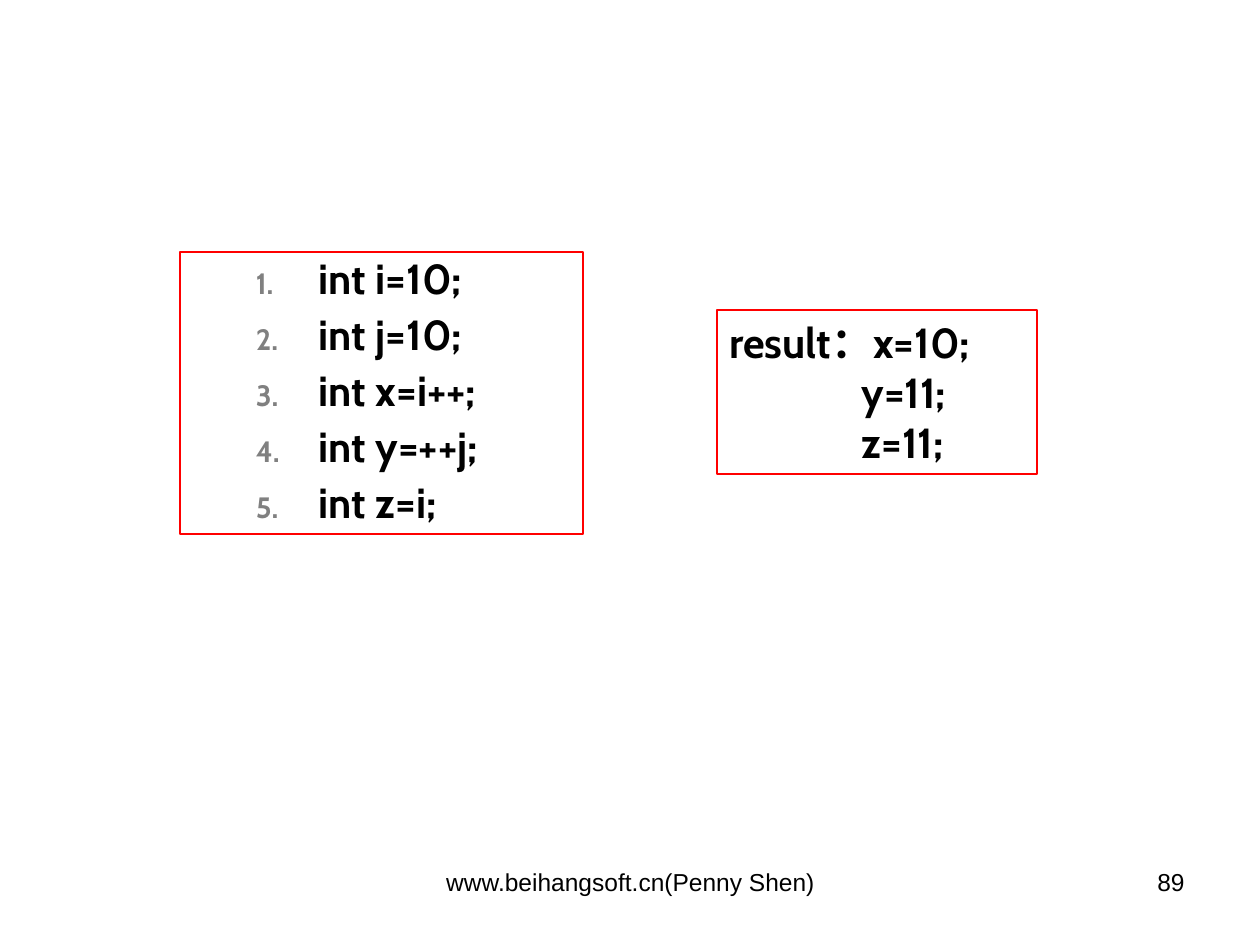
import pptx
import pptx.util
import pptx.dml.color
import pptx.enum.text
import pptx.oxml.ns
import lxml.etree

Inches = pptx.util.Inches
Pt = pptx.util.Pt
PP_ALIGN = pptx.enum.text.PP_ALIGN
COLORS = {"text": "000000", "fill": "FFFFFF", "border": "FF0000", "number": "808080"}


def add_span(para, text, font, size, bold):
    span = para.add_run()
    span.text = text
    span.font.name = font
    span.font.size = Pt(size)
    span.font.bold = bold
    span.font.color.rgb = pptx.dml.color.RGBColor.from_string(COLORS["text"])


def add_child(parent, tag, **attributes):
    return lxml.etree.SubElement(parent, pptx.oxml.ns.qn(tag), **attributes)


deck = pptx.Presentation()
deck.slide_width = Inches(10)
deck.slide_height = Inches(7.5)
page = deck.slides.add_slide(deck.slide_layouts[1])
title = page.shapes.title
title.element.getparent().remove(title.element)

code_box = page.placeholders[1]
code_box.left, code_box.top = Inches(1.43), Inches(2)
code_box.width, code_box.height = Inches(3.2), Inches(2.24)
result_box = page.shapes.add_textbox(Inches(5.69), Inches(2.46), Inches(2.54), Inches(1.3))

for box in (code_box, result_box):
    box.fill.solid()
    box.fill.fore_color.rgb = pptx.dml.color.RGBColor.from_string(COLORS["fill"])
    box.line.color.rgb = pptx.dml.color.RGBColor.from_string(COLORS["border"])
    box.line.width = Pt(1)
    box.text_frame.word_wrap = True
    box.text_frame.auto_size = pptx.enum.text.MSO_AUTO_SIZE.NONE

statements = ["int i=10;", "int j=10;", "int x=i++;", "int y=++j;", "int z=i;"]
for index, statement in enumerate(statements):
    frame = code_box.text_frame
    para = frame.add_paragraph() if index else frame.paragraphs[0]
    para.level = 1
    para.line_spacing = 0.9
    para.space_before = Pt(6 if index else 0)
    properties = para._p.get_or_add_pPr()
    properties.set("marL", str(Inches(1)))
    properties.set("indent", str(Inches(-0.5)))
    number_color = add_child(properties, "a:buClr")
    add_child(number_color, "a:srgbClr", val=COLORS["number"])
    add_child(properties, "a:buSzPct", val="70000")
    add_child(properties, "a:buFont", typeface="Cabin")
    add_child(properties, "a:buAutoNum", type="arabicPeriod")
    add_span(para, statement, "Cabin", 24, True)

for index, result in enumerate(["result：x=10;", "y=11;", "z=11;"]):
    frame = result_box.text_frame
    para = frame.add_paragraph() if index else frame.paragraphs[0]
    if index:
        para._p.get_or_add_pPr().set("marL", str(Inches(1.05)))
    add_span(para, result, "Cabin", 24, True)

footers = [
    ("www.beihangsoft.cn(Penny Shen)", 3.42, 3.17, PP_ALIGN.CENTER),
    ("89", 7.17, 2.33, PP_ALIGN.RIGHT),
]
for text, left, width, alignment in footers:
    box = page.shapes.add_textbox(Inches(left), Inches(6.83), Inches(width), Inches(0.52))
    box.text_frame.word_wrap = True
    para = box.text_frame.paragraphs[0]
    para.alignment = alignment
    add_span(para, text, "Arial", 14, False)

deck.save("out.pptx")
